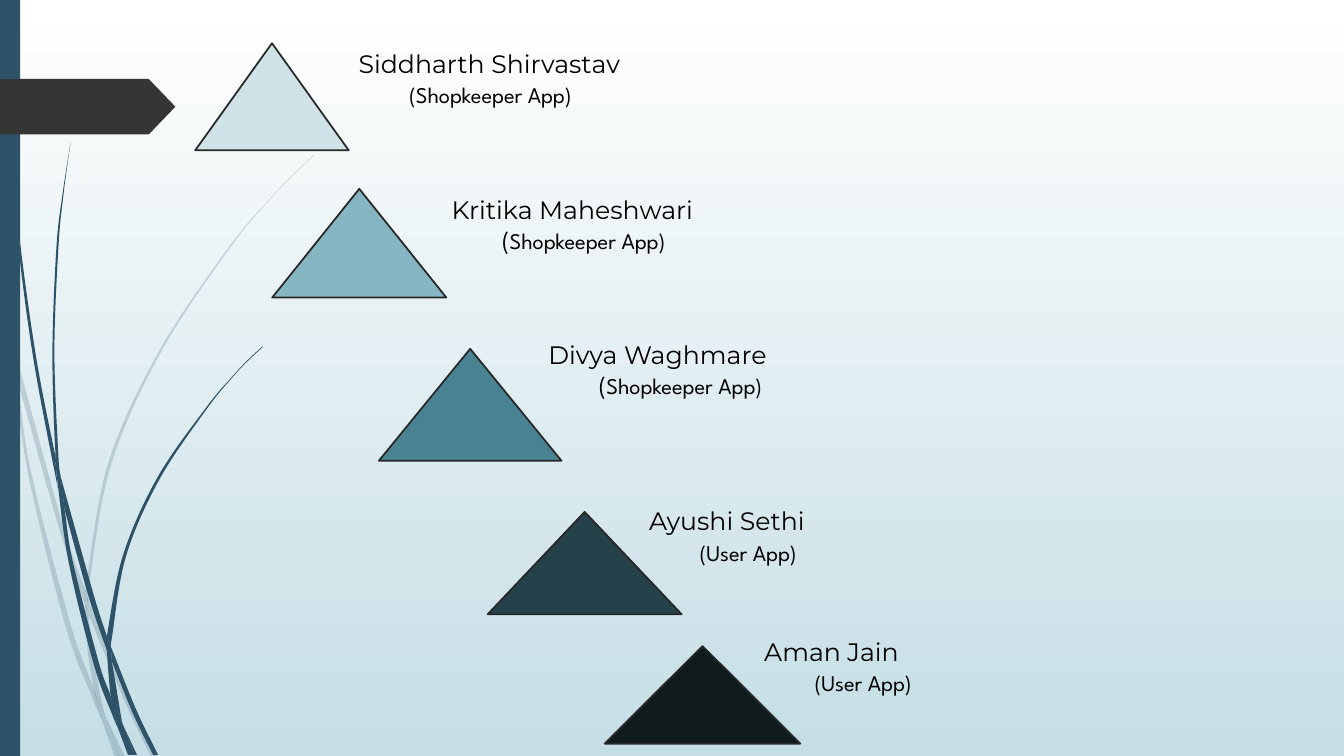
from lxml import etree
from pptx import Presentation
from pptx.dml.color import RGBColor
from pptx.enum.shapes import MSO_SHAPE
from pptx.enum.text import MSO_AUTO_SIZE
from pptx.oxml.ns import qn
from pptx.util import Cm, Pt

RECTANGLE = MSO_SHAPE.RECTANGLE
PENTAGON = MSO_SHAPE.PENTAGON
TRIANGLE = MSO_SHAPE.ISOSCELES_TRIANGLE
FIT_SHAPE = MSO_AUTO_SIZE.SHAPE_TO_FIT_TEXT

WHITE = RGBColor(0xFF, 0xFF, 0xFF)
PALE_BLUE = RGBColor(0xC5, 0xDE, 0xE5)
NAVY = RGBColor(0x2E, 0x53, 0x69)
CHARCOAL = RGBColor(0x35, 0x35, 0x35)
OUTLINE = RGBColor(0x27, 0x27, 0x27)
BLACK = RGBColor(0x00, 0x00, 0x00)

NAME_FONT = "Montserrat"
ROLE_FONT = "League Spartan"
GRID = Cm(2.54)

FAINT_STRANDS = [
    ([(0, 2.99), (0.1, 3.44), (0.11, 3.5)], [(0.11, 3.5), (0.09, 3.22), (0, 2.82)]),
    ([(0.17, 3.76), (0.58, 5.22), (0.84, 5.99)], [(0.85, 5.86), (0.62, 5.2), (0.14, 3.45)]),
    ([(0.88, 6.1), (1.23, 6.94), (1.5, 7.51)],
     [(1.55, 7.51), (1.27, 6.92), (0.92, 6.07), (0.88, 5.96)]),
    ([(1.05, 7.11), (1.19, 7.51)], [(1.24, 7.51), (1.05, 7.11)]),
    ([(0.11, 3.5), (0.28, 4.7), (0.65, 6.21), (0.92, 6.93), (1.01, 7.14)],
     [(0.99, 7.07), (0.93, 6.83), (0.7, 6.19), (0.31, 4.69), (0.17, 3.76), (0.11, 3.5)]),
    ([(0.84, 5.99), (0.87, 6.46), (0.93, 6.83), (0.96, 6.92), (1.05, 7.11)],
     [(1.03, 7.06), (0.91, 6.46), (0.88, 6.1), (0.84, 5.99)]),
    ([(3.12, 1.53), (2.89, 1.75), (2.68, 1.97), (2.28, 2.44), (1.58, 3.48), (1.07, 4.61),
      (0.85, 5.84), (0.85, 5.86)],
     [(0.88, 5.96), (0.88, 5.84), (1.1, 4.62), (1.6, 3.49), (2.29, 2.45), (2.68, 1.98),
      (2.9, 1.75), (3.12, 1.54)]),
    ([(1.01, 7.14), (1.14, 7.51)], [(1.19, 7.51), (1.01, 7.14)]),
    ([(0.85, 5.86), (0.84, 5.99), (0.88, 6.08)], [(0.88, 6.1), (0.88, 5.96)]),
    ([(0.93, 6.83), (0.99, 7.07), (1.01, 7.14), (1.19, 7.51)],
     [(1.19, 7.51), (1.05, 7.11), (0.96, 6.92)]),
]
DARK_STRANDS = [
    ([(0.03, 0), (0.04, 0.48), (0.07, 1.1), (0.17, 2.33), (0.33, 3.55), (0.56, 4.77), (0.57, 4.81)],
     [(0.55, 4.57), (0.55, 4.53), (0.36, 3.55), (0.19, 2.32), (0.08, 1.09), (0.05, 0.48), (0.04, 0)]),
    ([(0.64, 5.05), (0.88, 5.92), (1.06, 6.45)],
     [(1.06, 6.33), (1.06, 6.31), (0.93, 5.9), (0.6, 4.72)]),
    ([(1.11, 6.56), (1.32, 7.08), (1.52, 7.49)],
     [(1.57, 7.49), (1.36, 7.06), (1.13, 6.49), (1.1, 6.41)]),
    ([(0.57, 4.77), (0.68, 5.57), (0.93, 6.59), (1.11, 7.08), (1.17, 7.22)],
     [(1.16, 7.17), (1.1, 6.91), (0.98, 6.57), (0.72, 5.56), (0.64, 5.05), (0.57, 4.77)]),
    ([(0.7, 1.41), (0.62, 1.93), (0.56, 2.45), (0.52, 3.49), (0.55, 4.49), (0.6, 4.72)],
     [(0.6, 4.72), (0.58, 4.53), (0.54, 3.49), (0.58, 2.45), (0.63, 1.93), (0.7, 1.41)]),
    ([(1.22, 7.19), (1.33, 7.49)], [(1.36, 7.49), (1.22, 7.19)]),
    ([(0.55, 4.49), (0.55, 4.53), (0.57, 4.77), (0.64, 5.05)],
     [(0.64, 5.05), (0.6, 4.72), (0.55, 4.49)]),
    ([(2.6, 3.44), (2.45, 3.58), (2.31, 3.73), (2.04, 4.05), (1.56, 4.74), (1.22, 5.51), (1.06, 6.31)],
     [(1.1, 6.41), (1.11, 6.33), (1.25, 5.52), (1.58, 4.76), (2.05, 4.06), (2.31, 3.74),
      (2.45, 3.59), (2.61, 3.44)]),
    ([(1.17, 7.22), (1.27, 7.49)], [(1.31, 7.49), (1.17, 7.22)]),
    ([(1.06, 6.45), (1.1, 6.91), (1.16, 7.06), (1.22, 7.19)],
     [(1.21, 7.16), (1.11, 6.56), (1.09, 6.51), (1.06, 6.45)]),
    ([(1.06, 6.31), (1.06, 6.45), (1.09, 6.51), (1.11, 6.56)], [(1.1, 6.41), (1.06, 6.31)]),
    ([(1.1, 6.91), (1.16, 7.17), (1.17, 7.22), (1.3, 7.49)],
     [(1.33, 7.49), (1.22, 7.19), (1.16, 7.06)]),
]

MEMBERS = [
    ("Siddharth Shirvastav", "\t", "(Shopkeeper App)", RGBColor(0xCF, 0xE2, 0xE7),
     (4.92, 1.09, 3.87, 2.7), (8.79, 1.09)),
    ("Kritika Maheshwari", "\t(", "Shopkeeper App)", RGBColor(0x86, 0xB6, 0xC2),
     (6.86, 4.76, 4.39, 2.74), (11.13, 4.76)),
    ("Divya Waghmare", "\t(", "Shopkeeper App)", RGBColor(0x49, 0x83, 0x92),
     (9.55, 8.79, 4.6, 2.82), (13.57, 8.43)),
    ("Ayushi Sethi", "\t", "(User App)", RGBColor(0x25, 0x41, 0x49),
     (12.29, 12.9, 4.89, 2.58), (16.11, 12.62)),
    ("Aman Jain", "\t", "(User App)", RGBColor(0x0F, 0x1A, 0x1D),
     (15.24, 16.28, 4.93, 2.46), (19.01, 15.91)),
]


def curve_controls(edge):
    padded = [edge[0], *edge, edge[-1]]
    return [
        ((start[0] + (end[0] - before[0]) / 6, start[1] + (end[1] - before[1]) / 6),
         (end[0] - (after[0] - start[0]) / 6, end[1] - (after[1] - start[1]) / 6))
        for before, start, end, after in zip(padded, padded[1:], padded[2:], padded[3:])]


def style_shape(shape, color):
    shape.shadow.inherit = False
    shape.fill.solid()
    shape.fill.fore_color.rgb = color
    shape.line.fill.background()


def add_strand(slide, left, top, edges, opacity):
    first, second = [[(left + x * GRID, top + y * GRID) for x, y in edge] for edge in edges]
    builder = slide.shapes.build_freeform(*first[0])
    builder.add_line_segments(first[1:] + second, close=True)
    shape = builder.convert_to_shape()
    controls = curve_controls(first) + [()] + curve_controls(second)
    segments = list(shape._element.spPr.iter(qn("a:lnTo")))
    for segment, handles in zip(segments, controls):
        if handles:
            segment.tag = qn("a:cubicBezTo")
        for index, (x, y) in enumerate(handles):
            point = etree.Element(qn("a:pt"))
            point.set("x", str(round(x - shape.left)))
            point.set("y", str(round(y - shape.top)))
            segment.insert(index, point)
    style_shape(shape, NAVY)
    if opacity < 100:
        color = shape._element.spPr.find(qn("a:solidFill")).find(qn("a:srgbClr"))
        etree.SubElement(color, qn("a:alpha")).set("val", str(opacity * 1000))


def add_side_decoration(slide, left, top, height):
    for strands, opacity in ((FAINT_STRANDS, 20), (DARK_STRANDS, 100)):
        for edges in strands:
            add_strand(slide, left, top, edges, opacity)
    bar = slide.shapes.add_shape(RECTANGLE, left, top, Cm(0.51), height)
    style_shape(bar, NAVY)
    tag = slide.shapes.add_shape(PENTAGON, left, top + Cm(1.99), Cm(4.42), Cm(1.4))
    tag.adjustments[0] = 0.48
    style_shape(tag, CHARCOAL)


def add_text_run(paragraph, text, font_name, size):
    run = paragraph.add_run()
    run.text = text
    run.font.name = font_name
    run.font.size = Pt(size)
    run.font.color.rgb = BLACK


def add_triangle(slide, box, color):
    triangle = slide.shapes.add_shape(TRIANGLE, *box)
    style_shape(triangle, color)
    triangle.line.color.rgb = OUTLINE
    triangle.line.width = Pt(1.25)


def add_member_label(slide, left, top, name, lead, role):
    text_box = slide.shapes.add_textbox(left, top, Cm(17.42), Cm(1.8))
    text_frame = text_box.text_frame
    text_frame.word_wrap = True
    text_frame.auto_size = FIT_SHAPE
    add_text_run(text_frame.paragraphs[0], name, NAME_FONT, 18)
    paragraph = text_frame.add_paragraph()
    tabs = etree.SubElement(paragraph._p.get_or_add_pPr(), qn("a:tabLst"))
    tab = etree.SubElement(tabs, qn("a:tab"))
    tab.set("pos", str(Cm(1.27)))
    tab.set("algn", "l")
    add_text_run(paragraph, lead, ROLE_FONT, 18)
    add_text_run(paragraph, role, ROLE_FONT, 16)


def add_background(slide):
    fill = slide.background.fill
    fill.gradient()
    fill.gradient_angle = 270
    for stop, color in zip(fill.gradient_stops, (WHITE, PALE_BLUE)):
        stop.color.rgb = color


def main():
    presentation = Presentation()
    presentation.slide_width = Cm(33.87)
    presentation.slide_height = Cm(19.05)
    slide = presentation.slides.add_slide(presentation.slide_layouts.get_by_name("Blank"))
    add_background(slide)
    add_side_decoration(slide, Cm(0), Cm(0), presentation.slide_height)
    for name, lead, role, color, triangle_box, label_corner in MEMBERS:
        add_triangle(slide, map(Cm, triangle_box), color)
        add_member_label(slide, *map(Cm, label_corner), name, lead, role)
    presentation.save("out.pptx")


if __name__ == "__main__":
    main()
